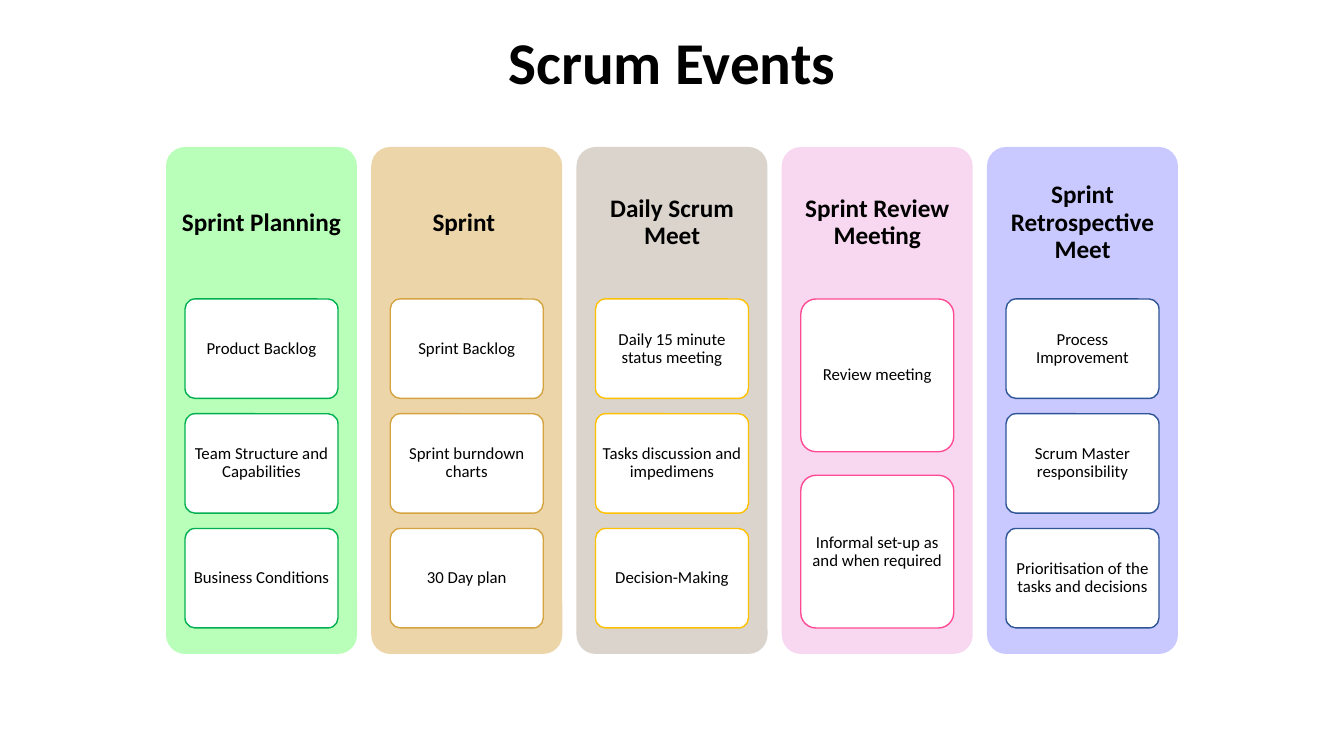
from pptx import Presentation
from pptx.dml.color import RGBColor
from pptx.enum.shapes import MSO_SHAPE as Shape
from pptx.enum.text import MSO_ANCHOR as Anchor, PP_ALIGN as Align
from pptx.util import Emu, Pt

# Content
TITLE = "Scrum Events"
BLACK = RGBColor(0x00, 0x00, 0x00)
WHITE = RGBColor(0xFF, 0xFF, 0xFF)
GREEN, PALE_GREEN = RGBColor(0x00, 0xB0, 0x50), RGBColor(0xB9, 0xFF, 0xB9)
OCHRE, PALE_OCHRE = RGBColor(0xD5, 0xA3, 0x3F), RGBColor(0xEC, 0xD5, 0xA9)
AMBER, STONE = RGBColor(0xFF, 0xC0, 0x00), RGBColor(0xDA, 0xD4, 0xCC)
PINK, PALE_PINK = RGBColor(0xFF, 0x4B, 0x94), RGBColor(0xF8, 0xD8, 0xF1)
BLUE, LAVENDER = RGBColor(0x2F, 0x55, 0x97), RGBColor(0xC9, 0xC9, 0xFF)

EVENTS = [
    ("Sprint Planning", PALE_GREEN, GREEN,
     ["Product Backlog", "Team Structure and Capabilities", "Business Conditions"]),
    ("Sprint ", PALE_OCHRE, OCHRE,
     ["Sprint Backlog", "Sprint burndown charts", "30 Day plan"]),
    ("Daily Scrum Meet", STONE, AMBER,
     ["Daily 15 minute status meeting", "Tasks discussion and impedimens",
      "Decision-Making"]),
    ("Sprint Review Meeting", PALE_PINK, PINK,
     ["Review meeting", "Informal set-up as and when required"]),
    ("Sprint Retrospective Meet", LAVENDER, BLUE,
     ["Process Improvement", "Scrum Master responsibility",
      "Prioritisation of the tasks and decisions"]),
]

# Layout in px
SLIDE_WIDTH, SLIDE_HEIGHT = 1344, 756
PANELS_LEFT, PANELS_RIGHT = 166, 1178
PANEL_TOP, PANEL_WIDTH, PANEL_HEIGHT = 147, 191, 507
HEADER_HEIGHT = 152
CARD_INSET = 19
CARDS_TOP, CARDS_BOTTOM = 299, 628
GAP_RATIO = 2 / 13  # gap between cards relative to card height
FONT = "Calibri"


def px(length):
    return Emu(round(length * 914400 / 100.8))


def write(shape, text, size, bold=False, inset=3, spacing=0.9):
    frame = shape.text_frame
    frame.word_wrap = True
    frame.vertical_anchor = Anchor.MIDDLE
    frame.margin_left = frame.margin_right = px(inset)
    frame.margin_top = frame.margin_bottom = px(min(inset, 7))
    paragraph = frame.paragraphs[0]
    paragraph.alignment = Align.CENTER
    paragraph.line_spacing = spacing
    run = paragraph.add_run()
    run.text = text
    run.font.name = FONT
    run.font.size = Pt(size)
    run.font.bold = bold
    run.font.color.rgb = BLACK


def add_text(slide, box, *args, **options):
    write(slide.shapes.add_textbox(*map(px, box)), *args, **options)


def add_rounded(slide, box, fill, line=None):
    shape = slide.shapes.add_shape(Shape.ROUNDED_RECTANGLE, *map(px, box))
    shape.adjustments[0] = 0.1
    shape.shadow.inherit = False
    shape.fill.solid()
    shape.fill.fore_color.rgb = fill
    if line is None:
        shape.line.fill.background()
    else:
        shape.line.color.rgb = line
        shape.line.width = Pt(1)
    return shape


def add_event(slide, left, name, fill, accent, cards):
    # Panel and header
    add_rounded(slide, (left, PANEL_TOP, PANEL_WIDTH, PANEL_HEIGHT), fill)
    add_text(slide, (left, PANEL_TOP, PANEL_WIDTH, HEADER_HEIGHT),
             name, 18, bold=True, inset=7)

    # Cards share the same vertical span, however many there are
    count = len(cards)
    height = (CARDS_BOTTOM - CARDS_TOP) / (count + (count - 1) * GAP_RATIO)
    for row, text in enumerate(cards):
        top = CARDS_TOP + row * height * (1 + GAP_RATIO)
        card = add_rounded(
            slide, (left + CARD_INSET, top, PANEL_WIDTH - 2 * CARD_INSET, height),
            WHITE, accent)
        write(card, text, 12)


def main():
    presentation = Presentation()
    presentation.slide_width = px(SLIDE_WIDTH)
    presentation.slide_height = px(SLIDE_HEIGHT)
    slide = presentation.slides.add_slide(presentation.slide_layouts[6])

    # Title
    add_text(slide, (42, 17, 1260, 87), TITLE, 42.3, bold=True, inset=11, spacing=1.0)

    # Event columns
    pitch = (PANELS_RIGHT - PANELS_LEFT - PANEL_WIDTH) / (len(EVENTS) - 1)
    for column, event in enumerate(EVENTS):
        add_event(slide, PANELS_LEFT + column * pitch, *event)

    presentation.save("out.pptx")


if __name__ == "__main__":
    main()
